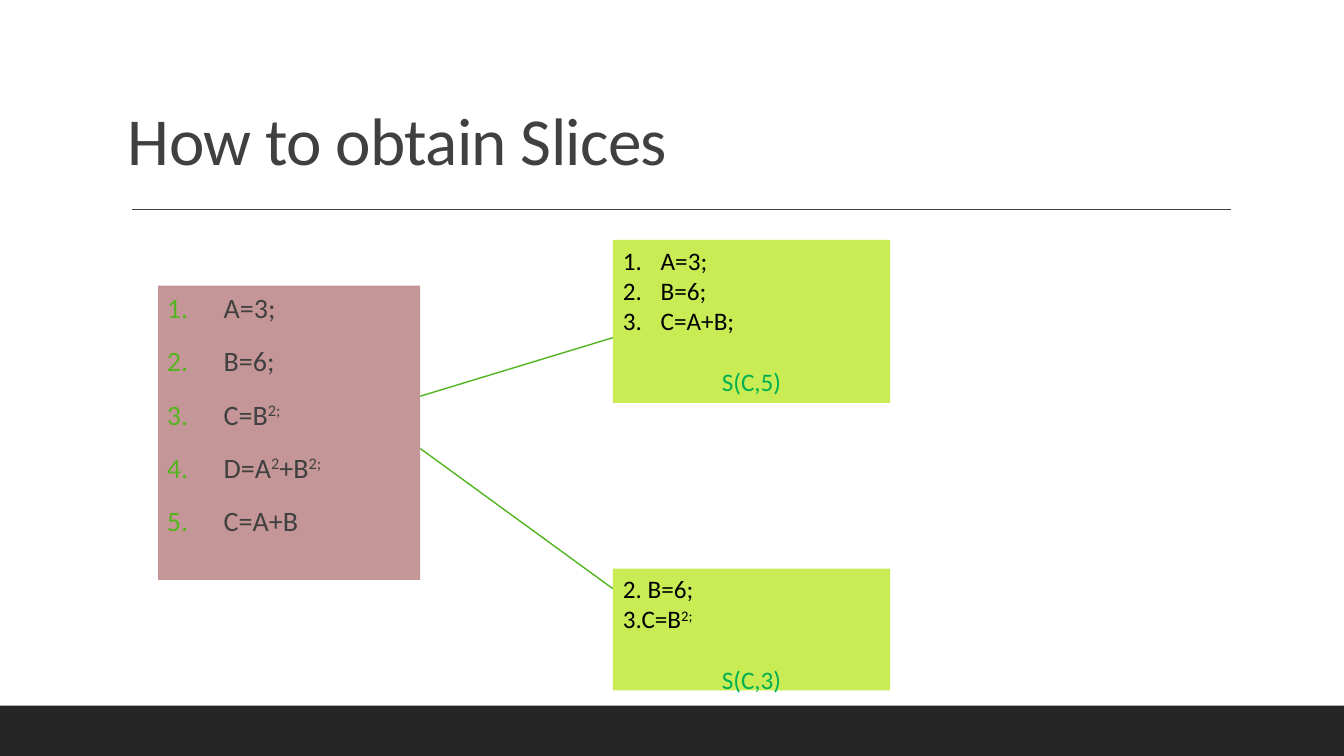
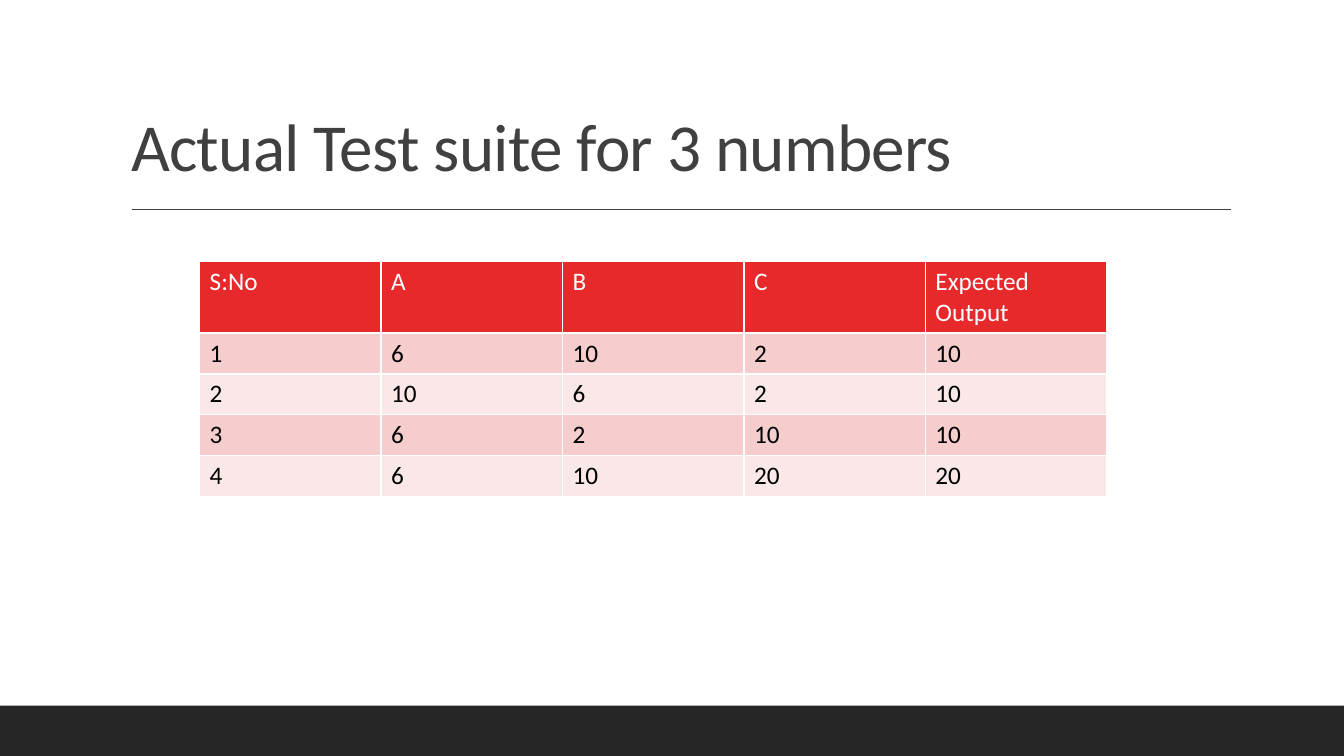
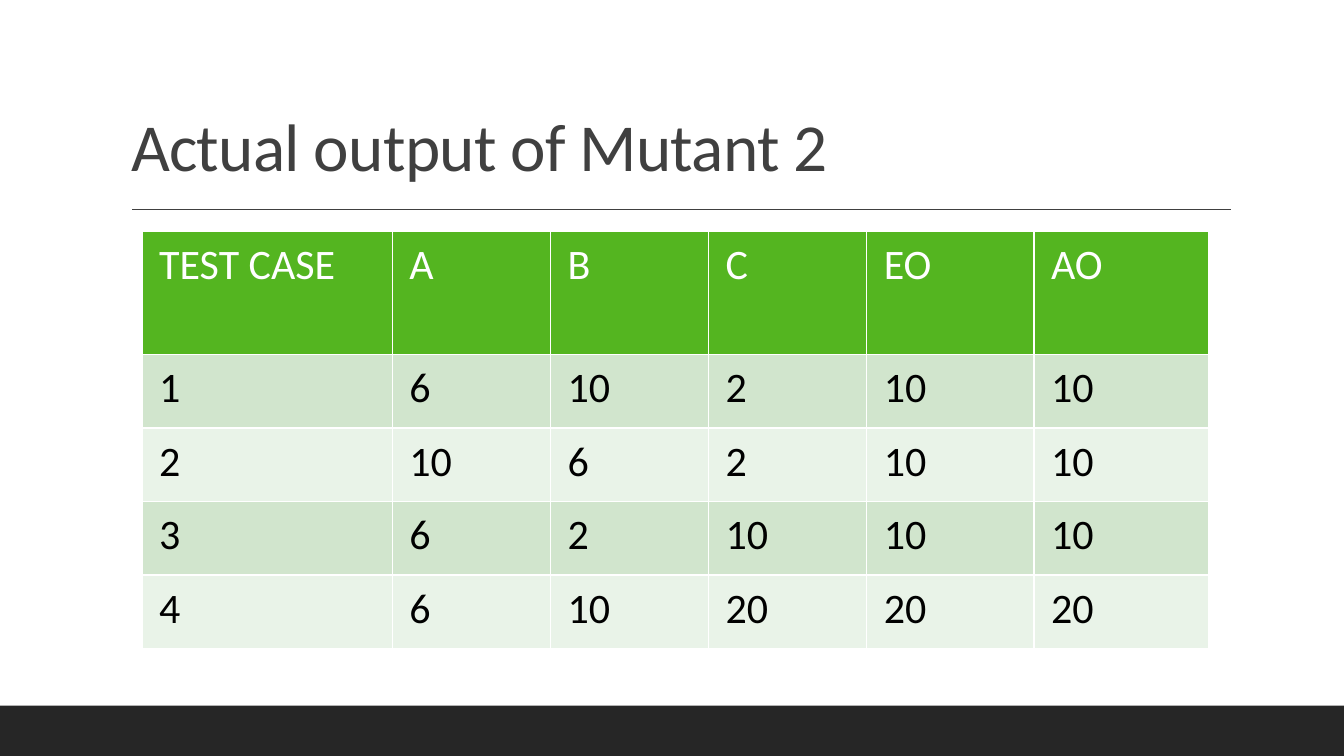
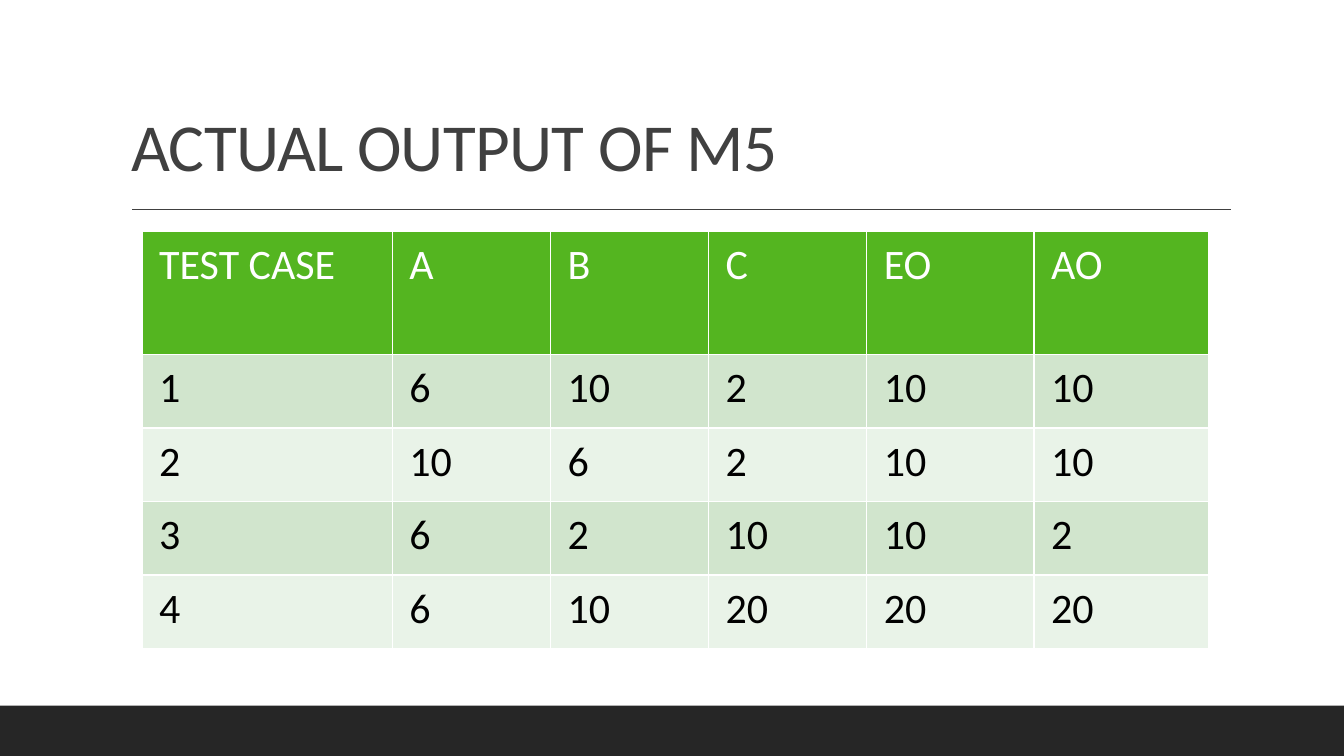
from dataclasses import dataclass

from lxml.etree import SubElement
from pptx import Presentation
from pptx.dml.color import RGBColor
from pptx.enum.shapes import MSO_CONNECTOR as Connector, MSO_SHAPE as Shape
from pptx.enum.text import MSO_ANCHOR as Anchor, MSO_AUTO_SIZE as AutoSize, PP_ALIGN as Align
from pptx.oxml.ns import qn
from pptx.util import Pt


@dataclass(frozen=True)
class Theme:
    font: str = "Calibri"
    ink: str = "404040"
    black: str = "000000"
    white: str = "FFFFFF"
    band: str = "262626"
    green: str = "54B520"
    label: str = "00B050"
    rose: str = "C59697"
    lime: str = "C9EC54"
    red_table: tuple = ("E7292C", "F6CDCD", "FAE8E8")
    green_table: tuple = ("54B520", "D1E5CD", "E9F3E8")
    title_size: int = 48
    large_size: int = 30
    program_size: int = 20
    text_size: int = 18


THEME = Theme()

WIDTH, HEIGHT = 960, 540
BAND_HEIGHT = 36
RULE = ((94.4, 149.8), (879.2, 149.8))
TITLE_SIZE = (792, 114.5)
TITLE_PLACE = (86.4, 22.3)

SLICES_TITLE = "How to obtain Slices"
SLICES_TITLE_PLACE = (84.2, 18)
PROGRAM = ["A=3;", "B=6;", "C=B^2;^", "D=A^2^+B^2;^", "C=A+B"]
PROGRAM_BOX = (113, 204, 187.2, 210.2)
SLICE_LEFT, SLICE_WIDTH = 437.8, 198
SLICES = [
    dict(lines=["A=3;", "B=6;", "C=A+B;"], numbered=True, label="S(C,5)",
         top=171.4, height=116.4, link=(283, 241.2)),
    dict(lines=["2. B=6;", "3.C=B^2;^"], numbered=False, label="S(C,3)",
         top=406.1, height=87.1, link=(320.4, 420.5)),
]

SUITE_ROWS = [
    ["S:No", "A", "B", "C", "Expected Output"],
    [1, 6, 10, 2, 10],
    [2, 10, 6, 2, 10],
    [3, 6, 2, 10, 10],
    [4, 6, 10, 20, 20],
]
MUTANT_HEAD = ["TEST CASE", "A", "B", "C", "EO", "AO"]


def mutant_rows(outputs):
    cases = [row + [output] for row, output in zip(SUITE_ROWS[1:], outputs)]
    return [MUTANT_HEAD] + cases


SUITE_LOOK = dict(place=(142.6, 186.7), columns=[129.6] * 5, heights=(51.2, 29.2),
                  colors=THEME.red_table, size=THEME.text_size, margins=(7.2, 3.6))
MUTANT_LOOK = dict(place=(101.5, 165.2), columns=[178.7, 113, 113, 113, 119.4, 125],
                   heights=(88, 52.5), colors=THEME.green_table,
                   size=THEME.large_size, margins=(12.2, 6))
TABLE_SLIDES = [
    ("Actual Test suite for 3 numbers", SUITE_ROWS, SUITE_LOOK),
    ("Actual output of Mutant 2", mutant_rows([10, 10, 10, 20]), MUTANT_LOOK),
    ("ACTUAL OUTPUT OF M5", mutant_rows([10, 10, 2, 20]), MUTANT_LOOK),
]


def points(*lengths):
    return [Pt(length) for length in lengths]


def rgb(color):
    return RGBColor.from_string(color)


def number_para(para, indent, hanging, color):
    props = para._p.get_or_add_pPr()
    props.set("marL", str(Pt(indent)))
    props.set("indent", str(-Pt(hanging)))
    tint = SubElement(props, qn("a:buClr"))
    SubElement(tint, qn("a:srgbClr"), val=color)
    SubElement(props, qn("a:buFont"), typeface="+mj-lt")
    SubElement(props, qn("a:buAutoNum"), type="arabicPeriod")


def add_text(frame, text, size=THEME.text_size, color=THEME.black, align=Align.LEFT,
             before=0, after=0, spacing=None, tracking=None, numbering=None):
    first = not frame.paragraphs[0].runs
    para = frame.paragraphs[0] if first else frame.add_paragraph()
    if numbering:
        number_para(para, *numbering)
    para.alignment = align
    para.space_before = Pt(0 if first else before)
    para.space_after = Pt(after)
    if spacing:
        para.line_spacing = spacing
    for index, piece in enumerate(text.split("^")):
        if not piece:
            continue
        span = para.add_run()
        span.text = piece
        font = span.font
        font.name, font.size, font.bold = THEME.font, Pt(size), False
        font.color.rgb = rgb(color)
        props = span._r.get_or_add_rPr()
        if index % 2:
            props.set("baseline", "30000")
        if tracking:
            props.set("spc", str(int(tracking * 100)))


def add_box(page, place, color, margins=(7.2, 3.6)):
    box = page.shapes.add_shape(Shape.RECTANGLE, *points(*place))
    box.shadow.inherit = False
    box.fill.solid()
    box.fill.fore_color.rgb = rgb(color)
    box.line.fill.background()
    frame = box.text_frame
    frame.word_wrap = True
    frame.vertical_anchor = Anchor.TOP
    frame.margin_left = frame.margin_right = Pt(margins[0])
    frame.margin_top = frame.margin_bottom = Pt(margins[1])
    return box


def add_line(page, start, end, color):
    line = page.shapes.add_connector(Connector.STRAIGHT, *points(*start, *end))
    line.line.color.rgb = rgb(color)
    line.line.width = Pt(1)
    SubElement(line.element.spPr, qn("a:effectLst"))
    return line


def add_page(deck, title, place=TITLE_PLACE):
    page = deck.slides.add_slide(deck.slide_layouts[5])
    box = page.shapes.title
    box.left, box.top, box.width, box.height = points(*place, *TITLE_SIZE)
    frame = box.text_frame
    frame.word_wrap = True
    frame.auto_size = AutoSize.NONE
    frame.vertical_anchor = Anchor.BOTTOM
    add_text(frame, title, size=THEME.title_size, color=THEME.ink, spacing=0.9, tracking=-0.5)
    return page


def share_decor(page):
    band = add_box(page, (0, HEIGHT - BAND_HEIGHT, WIDTH, BAND_HEIGHT), THEME.band)
    rule = add_line(page, *RULE, THEME.ink)
    for index, part in enumerate((band, rule), start=2):
        page.slide_layout.shapes.element.insert(index, part.element)


def border_cell(cell):
    props = cell._tc.get_or_add_tcPr()
    for index, side in enumerate(("a:lnL", "a:lnR", "a:lnT", "a:lnB")):
        line = SubElement(props, qn(side), w=str(Pt(1)))
        fill = SubElement(line, qn("a:solidFill"))
        SubElement(fill, qn("a:srgbClr"), val=THEME.white)
        props.insert(index, line)


def add_grid(page, rows, place, columns, heights, colors, size, margins):
    head, body = heights
    total = head + body * (len(rows) - 1)
    table = page.shapes.add_table(len(rows), len(columns),
                                  *points(*place, sum(columns), total)).table
    for column, width in zip(table.columns, columns):
        column.width = Pt(width)
    for index, values in enumerate(rows):
        table.rows[index].height = Pt(body if index else head)
        shade = colors[2 - index % 2] if index else colors[0]
        for column, value in enumerate(values):
            cell = table.cell(index, column)
            cell.fill.solid()
            cell.fill.fore_color.rgb = rgb(shade)
            cell.margin_left = cell.margin_right = Pt(margins[0])
            cell.margin_top = cell.margin_bottom = Pt(margins[1])
            border_cell(cell)
            add_text(cell.text_frame, str(value), size=size,
                     color=THEME.black if index else THEME.white)


def add_slices(page):
    program = add_box(page, PROGRAM_BOX, THEME.rose, margins=(0, 3.6)).text_frame
    for line in PROGRAM:
        add_text(program, line, size=THEME.program_size, color=THEME.ink,
                 before=12, after=2, numbering=(46.8, 40.5, THEME.green))
    program_right = PROGRAM_BOX[0] + PROGRAM_BOX[2]
    for part in SLICES:
        place = (SLICE_LEFT, part["top"], SLICE_WIDTH, part["height"])
        frame = add_box(page, place, THEME.lime).text_frame
        numbering = (27, 27, THEME.black) if part["numbered"] else None
        for line in part["lines"]:
            add_text(frame, line, numbering=numbering)
        add_text(frame, part["label"], color=THEME.label, align=Align.CENTER, before=22)
        start, end = part["link"]
        add_line(page, (program_right, start), (SLICE_LEFT, end), THEME.green)


def main():
    deck = Presentation()
    deck.slide_width, deck.slide_height = points(WIDTH, HEIGHT)
    page = add_page(deck, SLICES_TITLE, SLICES_TITLE_PLACE)
    share_decor(page)
    add_slices(page)
    for title, rows, look in TABLE_SLIDES:
        add_grid(add_page(deck, title), rows, **look)
    deck.save("out.pptx")


if __name__ == "__main__":
    main()
